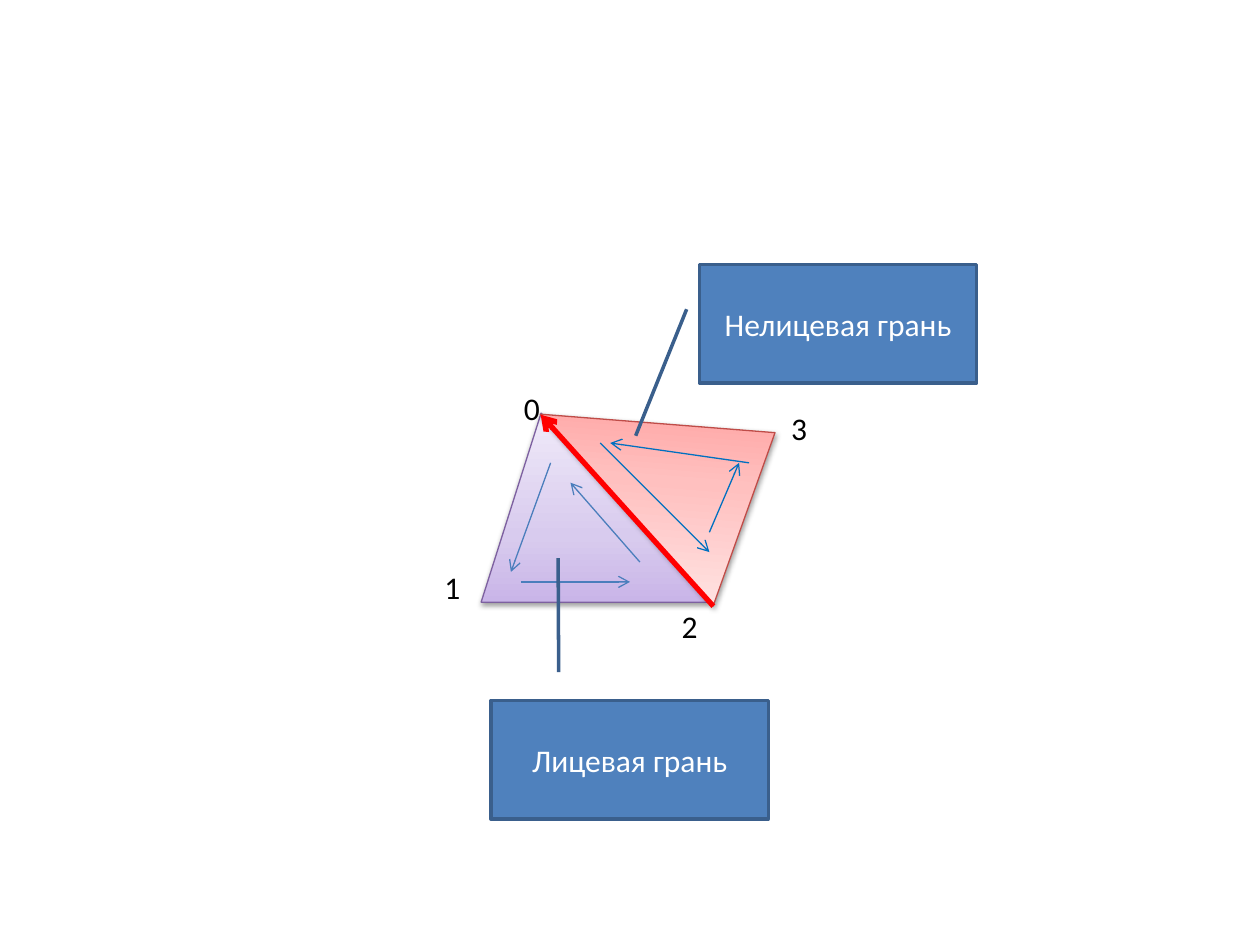
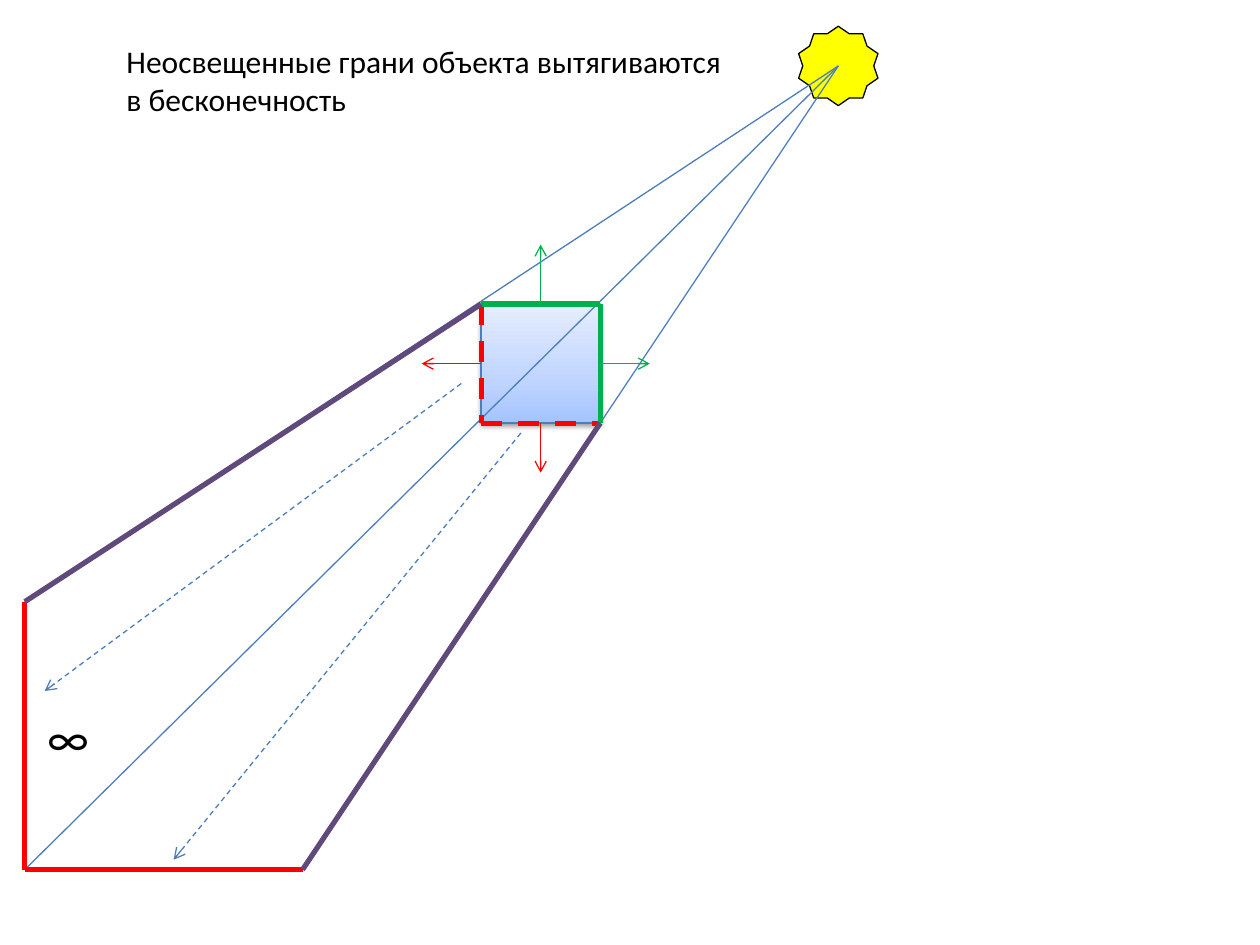
"""Two slides on shadow volumes: face orientation and silhouette extrusion."""
import pptx
import pptx.dml.color
import pptx.enum.dml
import pptx.enum.shapes
import pptx.enum.text
import pptx.oxml
import pptx.oxml.ns
import pptx.util
from lxml import etree

Cm = pptx.util.Cm
Pt = pptx.util.Pt
RGBColor = pptx.dml.color.RGBColor
SHAPE = pptx.enum.shapes.MSO_SHAPE
qn = pptx.oxml.ns.qn

FONT = "Calibri"
BLACK = RGBColor(0x00, 0x00, 0x00)
WHITE = RGBColor(0xFF, 0xFF, 0xFF)
RED = RGBColor(0xFF, 0x00, 0x00)
GREEN = RGBColor(0x00, 0xB0, 0x50)
YELLOW = RGBColor(0xFF, 0xFF, 0x00)
STEEL = RGBColor(0x4B, 0x7E, 0xBC)
BLUE = RGBColor(0x00, 0x70, 0xC0)
PURPLE = RGBColor(0x60, 0x4A, 0x7B)
CALLOUT_FILL = RGBColor(0x4F, 0x81, 0xBD)
CALLOUT_LINE = RGBColor(0x3A, 0x5F, 0x8C)
LILAC_LINE = RGBColor(0x7D, 0x60, 0xA0)
ROSE_LINE = RGBColor(0xBF, 0x4C, 0x48)

# Gradient colours at 0, 35 and 100 percent
GRADIENT_POSITIONS = (0, 35, 100)
LILAC = (RGBColor(0xC9, 0xB5, 0xE8), RGBColor(0xD8, 0xCB, 0xEE), RGBColor(0xF0, 0xEA, 0xF9))
ROSE = (RGBColor(0xFF, 0xA6, 0xA5), RGBColor(0xFF, 0xC0, 0xBF), RGBColor(0xFF, 0xE7, 0xE7))
SKY = (RGBColor(0xA4, 0xC4, 0xFF), RGBColor(0xBF, 0xD4, 0xFF), RGBColor(0xE6, 0xEE, 0xFF))

THIN, MEDIUM, THICK = 0.75, 2, 3


def add_child(parent, tag, **attributes):
    """Append a drawing element with the given attributes."""
    child = etree.SubElement(parent, qn(tag))
    for name, value in attributes.items():
        child.set(name, str(value))
    return child


def add_outlined(slide, kind, left, top, width, height, line, weight=THIN, adjustments=()):
    """Add a preset shape without shadow, with an outline."""
    shape = slide.shapes.add_shape(kind, Cm(left), Cm(top), Cm(width), Cm(height))
    for index, value in enumerate(adjustments):
        shape.adjustments[index] = value
    shape.shadow.inherit = False
    shape.line.color.rgb = line
    shape.line.width = Pt(weight)
    return shape


def shade(shape, colours):
    """Give a shape an upward gradient and a soft shadow below it."""
    shape.fill.gradient()
    shape.fill.gradient_angle = 90
    properties = shape.element.spPr
    stops = properties.find(".//" + qn("a:gsLst"))
    for stop in list(stops):
        stops.remove(stop)
    for position, colour in zip(GRADIENT_POSITIONS, colours):
        stop = add_child(stops, "a:gs", pos=position * 1000)
        add_child(stop, "a:srgbClr", val=colour)
    shadow = add_child(properties.find(qn("a:effectLst")), "a:outerShdw", blurRad=Pt(3.1),
                       dist=Pt(1.6), dir=5400000, rotWithShape=0)
    colour = add_child(shadow, "a:srgbClr", val=BLACK)
    add_child(colour, "a:alpha", val=38000)


def add_line(slide, origin, start, end, colour, weight=THIN, arrow=False, dashed=False):
    """Draw a straight line between two points given relative to origin."""
    left, top = origin
    connector = slide.shapes.add_connector(
        pptx.enum.shapes.MSO_CONNECTOR.STRAIGHT,
        Cm(left + start[0]), Cm(top + start[1]), Cm(left + end[0]), Cm(top + end[1]))
    connector.line.color.rgb = colour
    connector.line.width = Pt(weight)
    if dashed:
        connector.line.dash_style = pptx.enum.dml.MSO_LINE.DASH
    properties = connector.element.spPr
    if arrow:
        add_child(properties.find(qn("a:ln")), "a:tailEnd", type="arrow")
    add_child(properties, "a:effectLst")


def write(text_frame, text, colour=BLACK, size=18):
    """Write one run into the first paragraph and return the paragraph."""
    paragraph = text_frame.paragraphs[0]
    run = paragraph.add_run()
    run.text = text
    run.font.name = FONT
    run.font.size = Pt(size)
    run.font.color.rgb = colour
    return paragraph


def add_text(slide, left, top, width, height, text, size=18, wrap=False):
    """Add a text box that grows with its text."""
    box = slide.shapes.add_textbox(Cm(left), Cm(top), Cm(width), Cm(height))
    box.text_frame.word_wrap = wrap
    box.text_frame.auto_size = pptx.enum.text.MSO_AUTO_SIZE.SHAPE_TO_FIT_TEXT
    write(box.text_frame, text, size=size)


def add_callout(slide, left, top, text, pointer):
    """Add a blue callout with a pointer line."""
    shape = add_outlined(slide, SHAPE.LINE_CALLOUT_1, left, top, 5.59, 2.39,
                         CALLOUT_LINE, MEDIUM, pointer)
    shape.fill.solid()
    shape.fill.fore_color.rgb = CALLOUT_FILL
    shape.text_frame.word_wrap = True
    shape.text_frame.vertical_anchor = pptx.enum.text.MSO_ANCHOR.MIDDLE
    paragraph = write(shape.text_frame, text, WHITE)
    paragraph.alignment = pptx.enum.text.PP_ALIGN.CENTER


def draw_faces(slide, left, top, width, height):
    """Draw two adjoining faces; the box is that of the front face."""
    origin = (left, top)
    front = add_outlined(slide, SHAPE.ISOSCELES_TRIANGLE, left, top, width, height,
                         LILAC_LINE, adjustments=(0.263,))
    shade(front, LILAC)
    back = add_outlined(slide, SHAPE.ISOSCELES_TRIANGLE, left + 1.04, top + 0.2, 4.75, 3.58,
                        ROSE_LINE, adjustments=(0.204,))
    back.rotation = 184.5
    shade(back, ROSE)
    add_line(slide, origin, (4.68, 3.89), (1.2, 0.03), RED, THICK, arrow=True)

    vertices = ((0.61, -0.61), (-0.99, 3), (3.79, 3.79), (6, -0.2))
    for number, (x, y) in enumerate(vertices):
        add_text(slide, left + x, top + y, 0.84, 1.02, str(number))

    front_order = (((1.4, 1), (0.6, 3.2)), ((0.8, 3.4), (3, 3.4)), ((3.2, 3), (1.8, 1.4)))
    back_order = (((2.4, 0.6), (4.6, 2.8)), ((4.6, 2.4), (5.2, 1)), ((5.4, 1), (2.6, 0.6)))
    for colour, order in ((STEEL, front_order), (BLUE, back_order)):
        for start, end in order:
            add_line(slide, origin, start, end, colour, arrow=True)

    add_callout(slide, left + 0.2, top + 5.79, "Лицевая грань", (-0.239, 0.244, -1.2, 0.242))
    add_callout(slide, left + 4.4, top - 3, "Нелицевая грань", (0.379, -0.046, 1.446, -0.23))


def draw_extrusion(slide, left, top, width, height):
    """Draw a light, a cube and its shadow volume inside the box."""
    origin = (left, top)
    side, sun_size = 2.4, 1.6
    cube_left, cube_top = 9.2, 5.6
    cube_right, cube_bottom = cube_left + side, cube_top + side
    middle_x, middle_y = cube_left + side / 2, cube_top + side / 2
    top_left, top_right = (cube_left, cube_top), (cube_right, cube_top)
    bottom_left, bottom_right = (cube_left, cube_bottom), (cube_right, cube_bottom)
    far_top, far_corner, far_right = (0, 11.6), (0, height), (5.6, height)

    cube = add_outlined(slide, SHAPE.RECTANGLE, left + cube_left, top + cube_top,
                        side, side, STEEL)
    shade(cube, SKY)
    sun = add_outlined(slide, SHAPE.STAR_10_POINT, left + width - sun_size, top,
                       sun_size, sun_size, BLACK)
    sun.fill.solid()
    sun.fill.fore_color.rgb = YELLOW

    light = (width - sun_size / 2, sun_size / 2)
    for end in (far_top, far_corner, far_right):
        add_line(slide, origin, light, end, STEEL)
    far_edges = ((far_top, far_corner), (far_right, far_corner))
    for colour, weight in ((STEEL, THIN), (RED, THICK)):
        for start, end in far_edges:
            add_line(slide, origin, start, end, colour, weight)

    # Each face: edge ends, normal start, normal end, lit or not
    faces = (
        (top_left, bottom_left, (cube_left, middle_y), (cube_left - 1.2, middle_y), False),
        (bottom_left, bottom_right, (middle_x, cube_bottom), (middle_x, cube_bottom + 1), False),
        (top_left, top_right, (middle_x, cube_top), (middle_x, cube_top - 1.2), True),
        (top_right, bottom_right, (cube_right, middle_y), (cube_right + 1, middle_y), True),
    )
    for start, end, foot, tip, lit in faces:
        colour = GREEN if lit else RED
        add_line(slide, origin, foot, tip, colour, arrow=True)
        add_line(slide, origin, start, end, colour, THICK, dashed=not lit)

    for start, end in ((top_left, far_top), (bottom_right, far_right)):
        add_line(slide, origin, start, end, PURPLE, THICK)
    add_text(slide, left + 0.2, top + 13.6, 1.37, 1.45, "∞", size=28)
    add_text(slide, left + 1.8, top + 0.2, 12.6, 1.8,
             "Неосвещенные грани объекта вытягиваются в бесконечность", wrap=True)
    for start, end in (((10, 8.2), (3, 16.8)), ((8.8, 7.2), (0.4, 13.4))):
        add_line(slide, origin, start, end, STEEL, arrow=True, dashed=True)


def main():
    """Build and save the presentation."""
    presentation = pptx.Presentation()
    presentation.slide_width = Cm(25.4)
    presentation.slide_height = Cm(19.05)
    blank = presentation.slide_layouts[6]
    draw_faces(presentation.slides.add_slide(blank), 9.7, 8.33, 4.6, 3.81)
    draw_extrusion(presentation.slides.add_slide(blank), 0.5, 0.53, 17.2, 17)
    presentation.save("out.pptx")


main()
